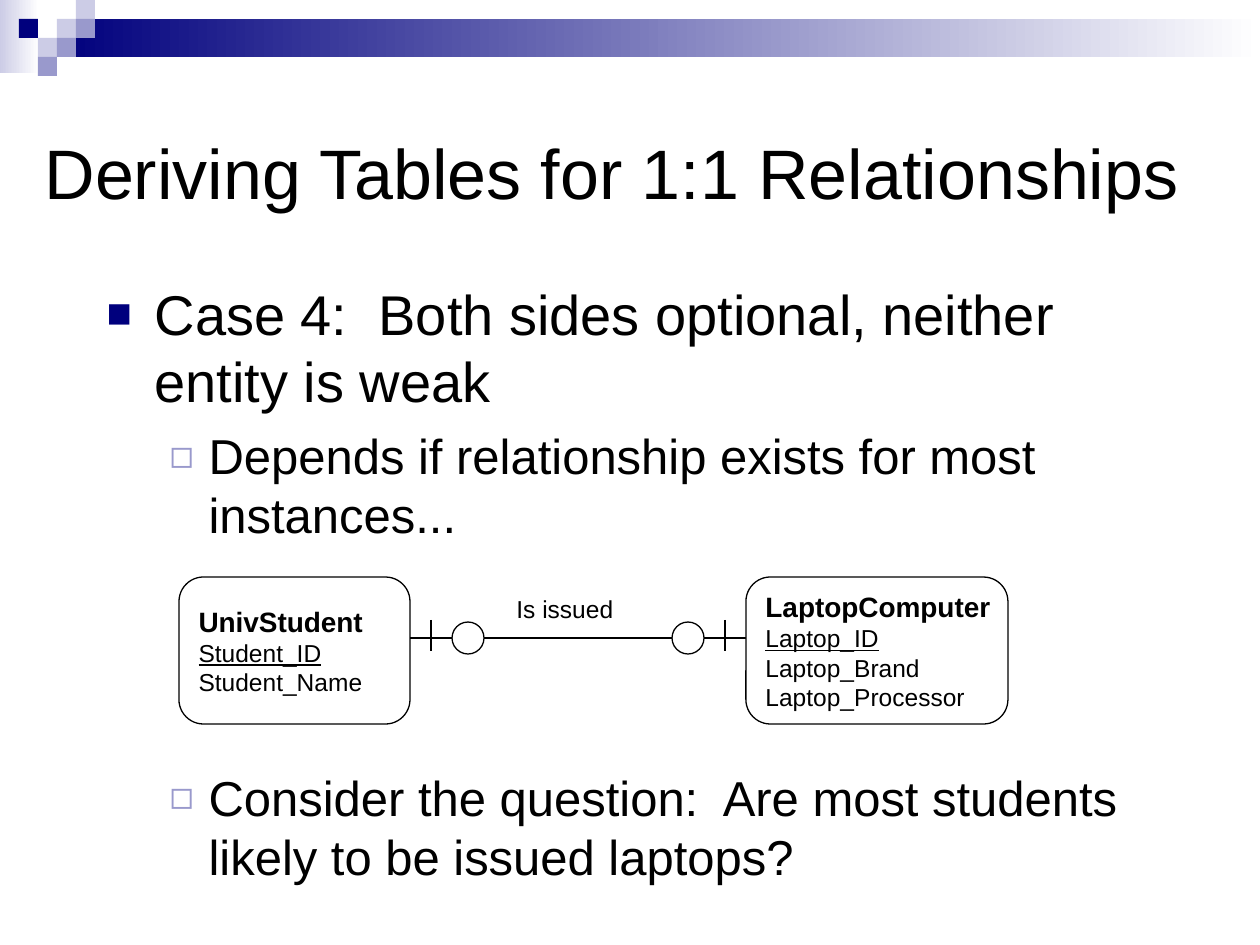
from lxml.etree import SubElement
from pptx import Presentation
from pptx.dml.color import RGBColor
from pptx.enum.shapes import MSO_CONNECTOR, MSO_SHAPE
from pptx.enum.text import MSO_ANCHOR, MSO_AUTO_SIZE, PP_ALIGN
from pptx.oxml.ns import qn
from pptx.util import Emu, Pt

COLOURS = {
    "ink": "000000",
    "paper": "FFFFFF",
    "navy": "00007D",
    "lilac": "9999CC",
    "mist": "CCCCE6",
}
BULLETS = [
    {"sign": "■", "colour": "navy", "percent": 75, "margin": 48, "hanging": 48},
    {"sign": "◻", "colour": "lilac", "percent": 80, "margin": 102, "hanging": 39},
]
BODY_SIZES = [32, 28]
SQUARE = 19
SQUARES = [
    (3, 1, "mist"), (4, 0, "mist"), (4, 1, "lilac"), (2, 2, "mist"),
    (1, 1, "navy"), (3, 2, "lilac"), (2, 3, "lilac"),
]
ITEMS = [
    (0, 8, "Case 4:  Both sides optional, neither entity is weak"),
    (1, 7, "Depends if relationship exists for most instances..."),
    (1, 128, "Consider the question:  Are most students likely to be issued laptops?"),
]
AXIS = 638


def px(*lengths):
    return [Emu(round(length * 914400 / 126)) for length in lengths]


def rgb(name):
    return RGBColor.from_string(COLOURS[name])


class SlideBuilder:
    """Holds the style and the current slide, and draws each kind of element."""

    def __init__(self, page, font="Arial", line_width=0.75):
        self.page = page
        self.font = font
        self.line_width = Pt(line_width)

    def set_text(self, para, text, size, bold=False, underline=False):
        para.text = text
        para.alignment = PP_ALIGN.LEFT
        font = para.font
        font.name, font.size = self.font, Pt(size)
        font.bold, font.underline = bold, underline
        font.color.rgb = rgb("ink")

    def place(self, holder, area, anchor):
        holder.left, holder.top, holder.width, holder.height = px(*area)
        frame = holder.text_frame
        frame.auto_size = MSO_AUTO_SIZE.NONE
        frame.vertical_anchor = anchor
        return frame

    def title(self, text, area):
        frame = self.place(self.page.shapes.title, area, MSO_ANCHOR.BOTTOM)
        self.set_text(frame.paragraphs[0], text, 40)

    def body(self, items, area):
        frame = self.place(self.page.placeholders[1], area, MSO_ANCHOR.TOP)
        for index, (level, space, text) in enumerate(items):
            para = frame.add_paragraph() if index else frame.paragraphs[0]
            para.level = level
            para.space_before = Pt(space)
            self.set_text(para, text, BODY_SIZES[level])
            self.bullet(para, **BULLETS[level])

    def bullet(self, para, sign, colour, percent, margin, hanging):
        margin, hanging = px(margin, hanging)
        properties = para._p.get_or_add_pPr()
        properties.set("marL", str(margin))
        properties.set("indent", str(-hanging))
        tint = SubElement(properties, qn("a:buClr"))
        SubElement(tint, qn("a:srgbClr"), val=COLOURS[colour])
        SubElement(properties, qn("a:buSzPct"), val=str(percent * 1000))
        SubElement(properties, qn("a:buFont"), typeface=self.font)
        SubElement(properties, qn("a:buChar"), char=sign)
        for default_run in properties.findall(qn("a:defRPr")):
            properties.append(default_run)

    def shape(self, kind, area, fill, outlined=False):
        shape = self.page.shapes.add_shape(kind, *px(*area))
        shape.shadow.inherit = False
        shape.fill.solid()
        shape.fill.fore_color.rgb = rgb(fill)
        if outlined:
            shape.line.color.rgb = rgb("ink")
            shape.line.width = self.line_width
        else:
            shape.line.fill.background()
        return shape

    def fade(self, area, colour):
        fill = self.shape(MSO_SHAPE.RECTANGLE, area, colour).fill
        fill.gradient()
        fill.gradient_angle = 0
        for stop, position, name in zip(fill.gradient_stops, (0, 1), (colour, "paper")):
            stop.position = position
            stop.color.rgb = rgb(name)

    def line(self, *ends):
        line = self.page.shapes.add_connector(MSO_CONNECTOR.STRAIGHT, *px(*ends))
        line.line.color.rgb = rgb("ink")
        line.line.width = self.line_width
        SubElement(line._element.spPr, qn("a:effectLst"))

    def entity(self, area, name, key, *attributes):
        box = self.shape(MSO_SHAPE.ROUNDED_RECTANGLE, area, "paper", outlined=True)
        frame = box.text_frame
        frame.word_wrap = False
        frame.vertical_anchor = MSO_ANCHOR.MIDDLE
        self.set_text(frame.paragraphs[0], name, 16, bold=True)
        self.set_text(frame.add_paragraph(), key, 14, underline=True)
        for attribute in attributes:
            self.set_text(frame.add_paragraph(), attribute, 14)

    def label(self, text, area):
        frame = self.page.shapes.add_textbox(*px(*area)).text_frame
        frame.word_wrap = False
        frame.auto_size = MSO_AUTO_SIZE.SHAPE_TO_FIT_TEXT
        self.set_text(frame.paragraphs[0], text, 14)


def main():
    deck = Presentation()
    deck.slide_width, deck.slide_height = px(1260, 945)
    builder = SlideBuilder(deck.slides.add_slide(deck.slide_layouts[1]))

    builder.fade((0, 0, 39, 73), "mist")
    builder.fade((3 * SQUARE, SQUARE, 1203, 2 * SQUARE), "navy")
    for column, row, colour in SQUARES:
        area = (column * SQUARE, row * SQUARE, SQUARE, SQUARE)
        builder.shape(MSO_SHAPE.RECTANGLE, area, colour)

    builder.title("Deriving Tables for 1:1 Relationships", (32, 94, 1207, 126))
    builder.body(ITEMS, (94, 273, 1071, 567))

    builder.line(389, AXIS, 746, AXIS)
    builder.entity((179, 577, 231, 147), "UnivStudent", "Student_ID", "Student_Name")
    builder.entity((746, 577, 262, 147), "LaptopComputer", "Laptop_ID",
                   "Laptop_Brand", "Laptop_Processor")
    builder.label("Is issued", (504, 588, 122, 43))
    for bar, ring in ((431, 452), (725, 672)):
        builder.line(bar, AXIS - 18, bar, AXIS + 13)
        builder.shape(MSO_SHAPE.OVAL, (ring, AXIS - 16, 32, 32), "paper", outlined=True)

    deck.save("out.pptx")


if __name__ == "__main__":
    main()
